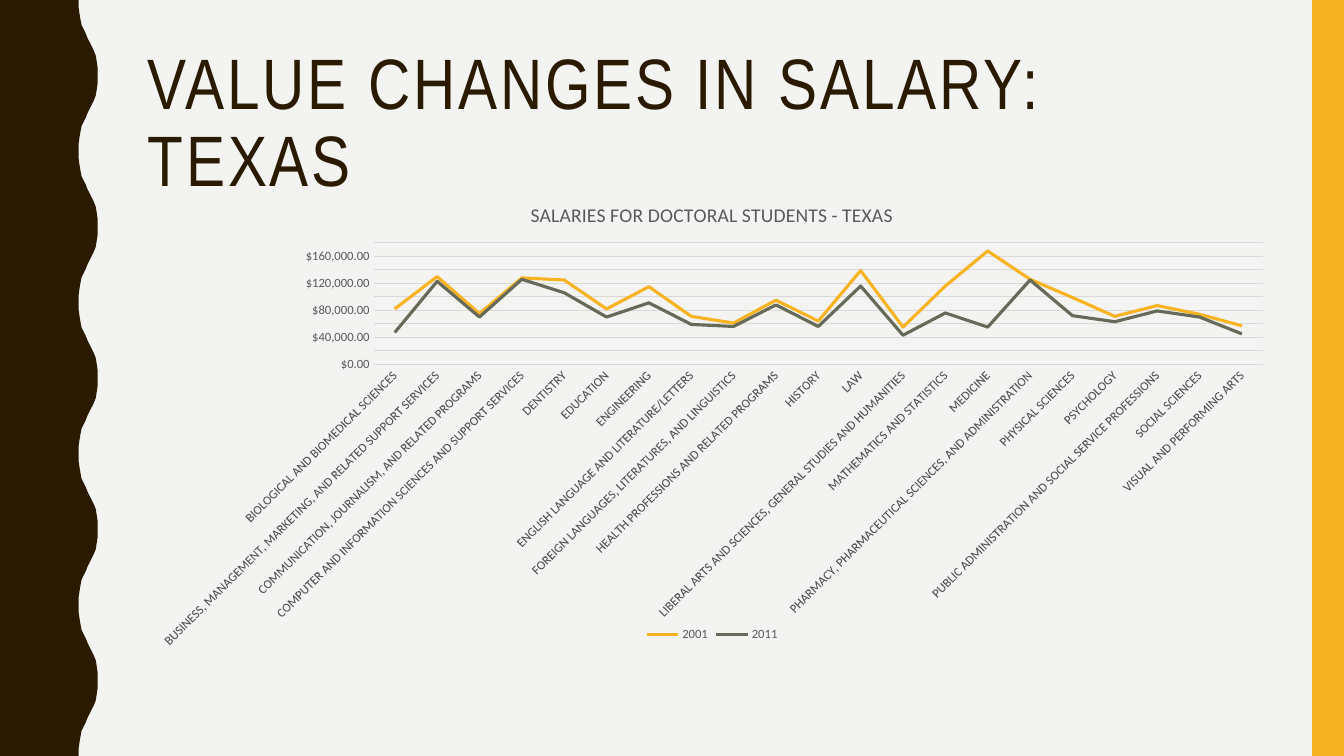
from pptx import Presentation
from pptx.chart.data import CategoryChartData
from pptx.dml.color import RGBColor
from pptx.enum.chart import XL_CHART_TYPE, XL_LEGEND_POSITION, XL_TICK_MARK
from pptx.enum.shapes import MSO_SHAPE
from pptx.enum.text import MSO_ANCHOR
from pptx.util import Cm, Pt

LINE_CHART = XL_CHART_TYPE.LINE
LEGEND_BOTTOM = XL_LEGEND_POSITION.BOTTOM
NO_TICK = XL_TICK_MARK.NONE
RECTANGLE = MSO_SHAPE.RECTANGLE
MIDDLE = MSO_ANCHOR.MIDDLE

BACKGROUND = RGBColor(0xF3, 0xF3, 0xF2)
BROWN = RGBColor(0x2A, 0x1A, 0x00)
YELLOW = RGBColor(0xF8, 0xB3, 0x23)
OLIVE = RGBColor(0x65, 0x6A, 0x59)
TEXT_GREY = RGBColor(0x59, 0x59, 0x59)
GRID_GREY = RGBColor(0xD9, 0xD9, 0xD9)

# Field of study, salary in 2001, salary in 2011
SALARIES = [
    ("BIOLOGICAL AND BIOMEDICAL SCIENCES", 82000, 47000),
    ("BUSINESS, MANAGEMENT, MARKETING, AND RELATED SUPPORT SERVICES", 130000, 123000),
    ("COMMUNICATION, JOURNALISM, AND RELATED PROGRAMS", 75000, 70000),
    ("COMPUTER AND INFORMATION SCIENCES AND SUPPORT SERVICES", 128000, 126000),
    ("DENTISTRY", 125000, 106000),
    ("EDUCATION", 82000, 70000),
    ("ENGINEERING", 115000, 91000),
    ("ENGLISH LANGUAGE AND LITERATURE/LETTERS", 71000, 59000),
    ("FOREIGN LANGUAGES, LITERATURES, AND LINGUISTICS", 61000, 56000),
    ("HEALTH PROFESSIONS AND RELATED PROGRAMS", 95000, 88000),
    ("HISTORY", 64000, 56000),
    ("LAW", 139000, 116000),
    ("LIBERAL ARTS AND SCIENCES, GENERAL STUDIES AND HUMANITIES", 55000, 43000),
    ("MATHEMATICS AND STATISTICS", 116000, 76000),
    ("MEDICINE", 168000, 55000),
    ("PHARMACY, PHARMACEUTICAL SCIENCES, AND ADMINISTRATION", 126000, 125000),
    ("PHYSICAL SCIENCES", 99000, 72000),
    ("PSYCHOLOGY", 71000, 63000),
    ("PUBLIC ADMINISTRATION AND SOCIAL SERVICE PROFESSIONS", 87000, 79000),
    ("SOCIAL SCIENCES", 74000, 70000),
    ("VISUAL AND PERFORMING ARTS", 57000, 45000),
]

# Half a wave as (x, y) in hundredths of an inch
HALF_WAVE = [(78, 0), (78, 7), (79, 14), (80, 20), (81, 25), (83, 29), (85, 33), (87, 38),
             (89, 42), (91, 46), (93, 50), (95, 55), (96, 61), (97, 68), (97, 75)]
WAVE_HEIGHT = 150
WAVE_COUNT = 5


def format_font(font, size, color, name="Calibri"):
    values = {"size": Pt(size), "name": name, "bold": False}
    for attribute, value in values.items():
        setattr(font, attribute, value)
    font.color.rgb = color


presentation = Presentation()
presentation.slide_width = Cm(33.87)
presentation.slide_height = Cm(19.05)
slide = presentation.slides.add_slide(presentation.slide_layouts[6])
slide.background.fill.solid()
slide.background.fill.fore_color.rgb = BACKGROUND

# Side bands
full_wave = HALF_WAVE + [(x, WAVE_HEIGHT - y) for x, y in reversed(HALF_WAVE[:-1])]
edge = [(x, y + wave * WAVE_HEIGHT) for wave in range(WAVE_COUNT) for x, y in full_wave]
builder = slide.shapes.build_freeform(0, 0, scale=Cm(0.0254))
builder.add_line_segments(edge + [(0, WAVE_COUNT * WAVE_HEIGHT)], close=True)
wavy_band = builder.convert_to_shape()
right_band = slide.shapes.add_shape(RECTANGLE, Cm(33.07), 0, Cm(0.8), Cm(19.05))
for band, color in ((wavy_band, BROWN), (right_band, YELLOW)):
    band.shadow.inherit = False
    band.fill.solid()
    band.fill.fore_color.rgb = color
    band.line.fill.background()

# Heading
heading = slide.shapes.add_textbox(Cm(3.48), Cm(1.07), Cm(28.27), Cm(4.14))
heading.text_frame.word_wrap = True
heading.text_frame.vertical_anchor = MIDDLE
paragraph = heading.text_frame.paragraphs[0]
paragraph.line_spacing = 0.9
run = paragraph.add_run()
run.text = "VALUE CHANGES IN SALARY: TEXAS"
format_font(run.font, 51, BROWN, "Arial Narrow")
run.font._element.set("spc", "200")

# Salary chart
fields, salaries_2001, salaries_2011 = zip(*SALARIES)
chart_data = CategoryChartData(number_format='"$"#,##0.00')
chart_data.categories = fields
chart_data.add_series("2001", salaries_2001)
chart_data.add_series("2011", salaries_2011)
chart = slide.shapes.add_chart(
    LINE_CHART, Cm(3.48), Cm(4.62), Cm(28.93), Cm(11.71), chart_data).chart
format_font(chart.font, 10, TEXT_GREY)

chart.has_title = True
title_paragraph = chart.chart_title.text_frame.paragraphs[0]
title_run = title_paragraph.add_run()
title_run.text = "SALARIES FOR DOCTORAL STUDENTS - TEXAS"
format_font(title_run.font, 14, TEXT_GREY)
chart.chart_title.include_in_layout = False

chart.has_legend = True
chart.legend.position = LEGEND_BOTTOM
chart.legend.include_in_layout = False
format_font(chart.legend.font, 9, TEXT_GREY)

for axis in (chart.category_axis, chart.value_axis):
    axis.major_tick_mark = NO_TICK
    axis.minor_tick_mark = NO_TICK
    format_font(axis.tick_labels.font, 9, TEXT_GREY)
category_axis, value_axis = chart.category_axis, chart.value_axis
category_axis.tick_labels.font._element.getparent().getparent().getparent().find(
    "{*}bodyPr").set("rot", "-2700000")
value_axis.minimum_scale = 0
value_axis.maximum_scale = 180000
value_axis.major_unit = 20000
value_axis.tick_labels.number_format = '"$"#,##0.00'
value_axis.tick_labels.number_format_is_linked = False
value_axis.format.line.fill.background()
for line in (category_axis.format.line, value_axis.major_gridlines.format.line):
    line.color.rgb = GRID_GREY
    line.width = Pt(0.75)

chart.plots[0].vary_by_categories = False
for series, color in zip(chart.plots[0].series, (YELLOW, OLIVE)):
    series.smooth = False
    series.format.line.color.rgb = color
    series.format.line.width = Pt(2.25)

presentation.save("out.pptx")
